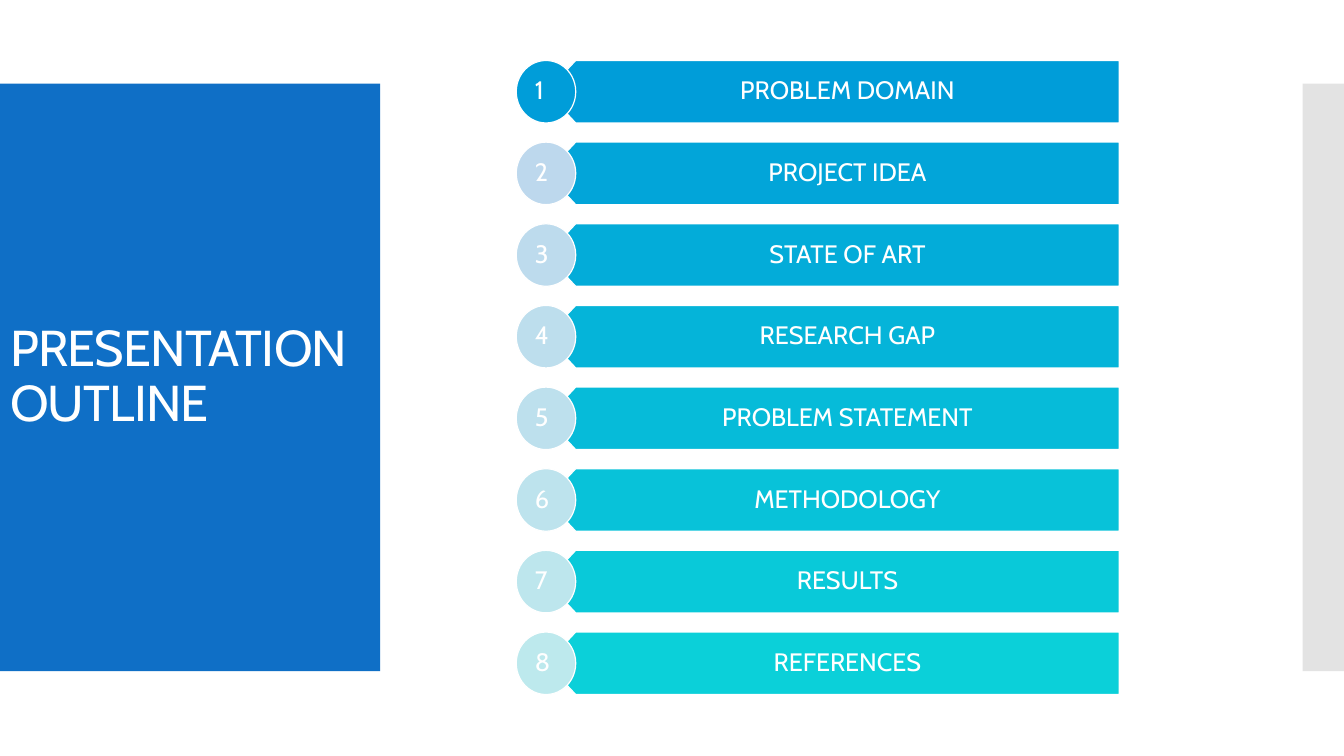
from lxml.etree import SubElement
from pptx import Presentation
from pptx.dml.color import RGBColor
from pptx.enum.shapes import MSO_SHAPE
from pptx.enum.text import MSO_ANCHOR, MSO_AUTO_SIZE, PP_ALIGN
from pptx.oxml.ns import qn
from pptx.util import Inches, Pt

# Topic, bar colour, number badge colour
TOPICS = [
    ("PROBLEM DOMAIN", "009DD9", "009DD9"),
    ("PROJECT IDEA", "02A5D9", "BDD8ED"),
    ("STATE OF ART", "03ACD9", "BDDBED"),
    ("RESEARCH GAP", "05B4D9", "BDDEED"),
    ("PROBLEM STATEMENT", "06BBD9", "BDE0ED"),
    ("METHODOLOGY", "08C2D9", "BDE3ED"),
    ("RESULTS", "09C9D9", "BDE6ED"),
    ("REFERENCES", "0BD0D9", "BDE9ED"),
]
FIRST_TOP, ROW_PITCH, ROW_HEIGHT = 0.6, 0.81, 0.62
BAR_TIP, BAR_SHOULDER, BAR_RIGHT = 5.42, 5.71, 11.1
BADGE_LEFT, BADGE_WIDTH = 5.12, 0.59


def colour(value):
    return RGBColor.from_string(value)


class OutlineSlide:
    font = "Cabin"
    white = "FFFFFF"

    def __init__(self, deck):
        self.page = deck.slides.add_slide(deck.slide_layouts[5])
        self.title_box = self.page.shapes.title

    def paint(self, shape, fill, line=None):
        shape.shadow.inherit = False
        shape.fill.solid()
        shape.fill.fore_color.rgb = colour(fill)
        if line:
            shape.line.color.rgb = colour(line)
            shape.line.width = Pt(0.85)
        else:
            shape.line.fill.background()

    def set_text(self, shape, text, size, frame_format, para_format):
        frame = shape.text_frame
        frame.text = text
        for name, value in frame_format.items():
            setattr(frame, name, value)
        para = frame.paragraphs[0]
        for name, value in para_format.items():
            setattr(para, name, value)
        span_format = {"name": self.font, "size": Pt(size)}
        for span in para.runs:
            for name, value in span_format.items():
                setattr(span.font, name, value)
            span.font.color.rgb = colour(self.white)
        return para

    def panel(self, left, width, fill, opacity=None):
        box = self.page.shapes.add_shape(
            MSO_SHAPE.RECTANGLE, Inches(left), Inches(0.83), Inches(width), Inches(5.83))
        self.paint(box, fill)
        if opacity:
            tone = box.element.spPr.find(qn("a:solidFill"))[0]
            SubElement(tone, qn("a:alpha"), val=str(opacity * 1000))
        # Panels lie behind the title
        self.title_box.element.addprevious(box.element)

    def title(self, text):
        place = {"left": 0, "top": 1.23, "width": 3.76, "height": 5.03}
        for name, value in place.items():
            setattr(self.title_box, name, Inches(value))
        para = self.set_text(
            self.title_box, text, 36,
            {"vertical_anchor": MSO_ANCHOR.MIDDLE, "word_wrap": True,
             "auto_size": MSO_AUTO_SIZE.NONE},
            {"alignment": PP_ALIGN.LEFT, "line_spacing": 0.9})
        # Tighter letter spacing
        for properties in self.title_box.element.iter(qn("a:rPr")):
            properties.set("spc", "-60")

    def bar(self, group, top, text, fill):
        middle, bottom = top + ROW_HEIGHT / 2, top + ROW_HEIGHT
        outline = group.shapes.build_freeform(
            Inches(BAR_RIGHT), Inches(bottom))
        corners = [(BAR_SHOULDER, bottom), (BAR_TIP, middle),
                   (BAR_SHOULDER, top), (BAR_RIGHT, top)]
        outline.add_line_segments([(Inches(x), Inches(y)) for x, y in corners])
        arrow = outline.convert_to_shape()
        self.paint(arrow, fill, self.white)
        self.set_text(
            arrow, text, 18,
            {"vertical_anchor": MSO_ANCHOR.MIDDLE, "word_wrap": True,
             "margin_left": Inches(0.38), "margin_right": Inches(0.09),
             "margin_top": Inches(0.05), "margin_bottom": Inches(0.05)},
            {"alignment": PP_ALIGN.CENTER, "line_spacing": 0.9})

    def badge(self, group, top, number, fill):
        circle = group.shapes.add_shape(
            MSO_SHAPE.OVAL, Inches(BADGE_LEFT), Inches(top),
            Inches(BADGE_WIDTH), Inches(ROW_HEIGHT))
        self.paint(circle, fill, self.white)
        self.set_text(
            circle, str(number), 18,
            {"vertical_anchor": MSO_ANCHOR.TOP, "word_wrap": True},
            {"alignment": PP_ALIGN.LEFT})


def main():
    deck = Presentation()
    deck.slide_width, deck.slide_height = Inches(13.33), Inches(7.5)
    slide = OutlineSlide(deck)

    # Side panels and title
    slide.panel(0, 3.77, "0F6FC6")
    slide.panel(12.92, 0.41, "C8C8C8", opacity=50)
    slide.title("PRESENTATION\vOUTLINE")

    # Numbered topics
    group = slide.page.shapes.add_group_shape()
    for index, (topic, bar_fill, badge_fill) in enumerate(TOPICS):
        top = FIRST_TOP + index * ROW_PITCH
        slide.bar(group, top, topic, bar_fill)
        slide.badge(group, top, index + 1, badge_fill)

    deck.save("out.pptx")


if __name__ == "__main__":
    main()
